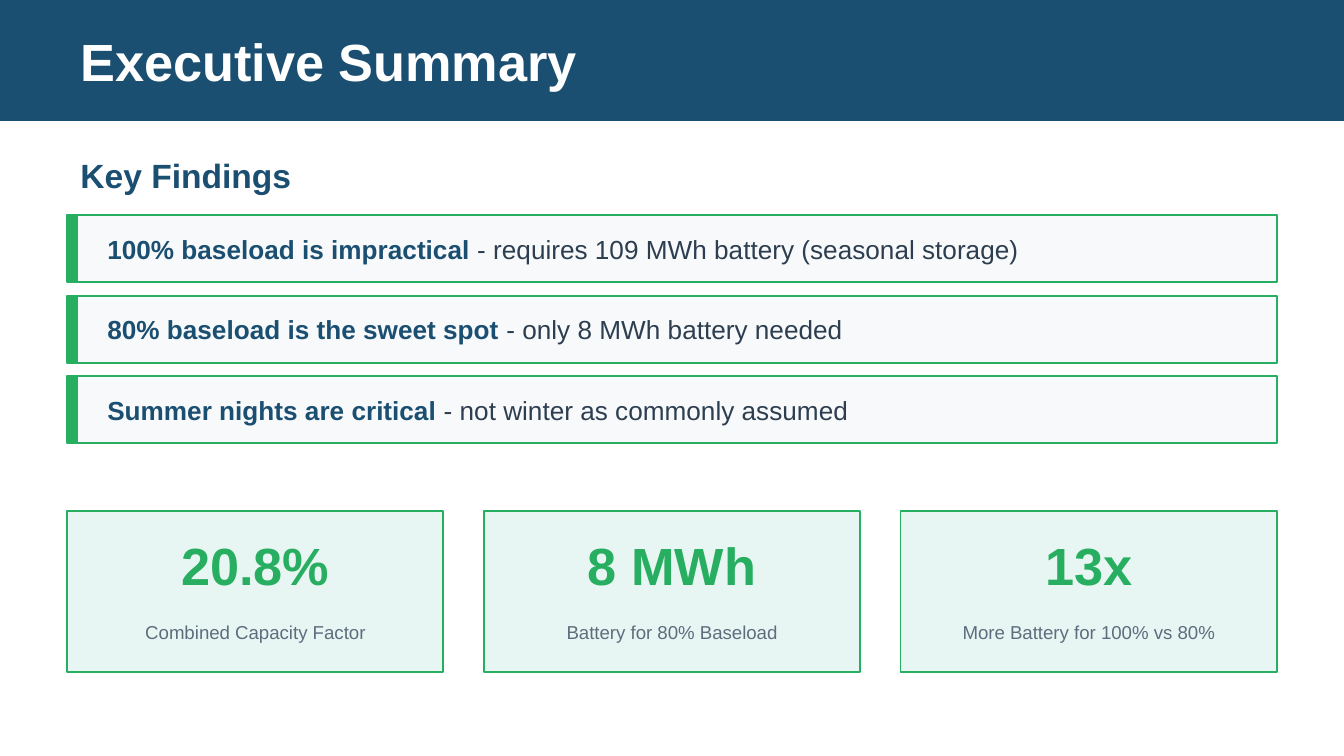
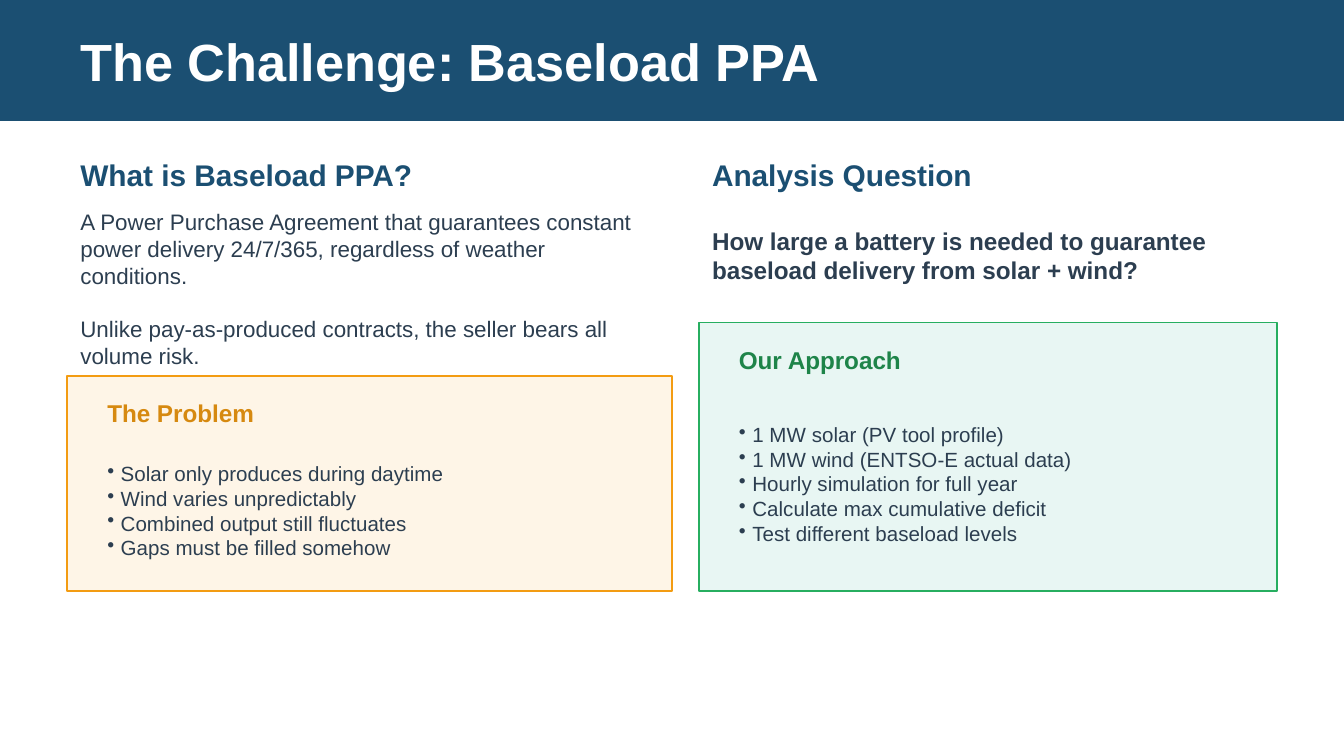
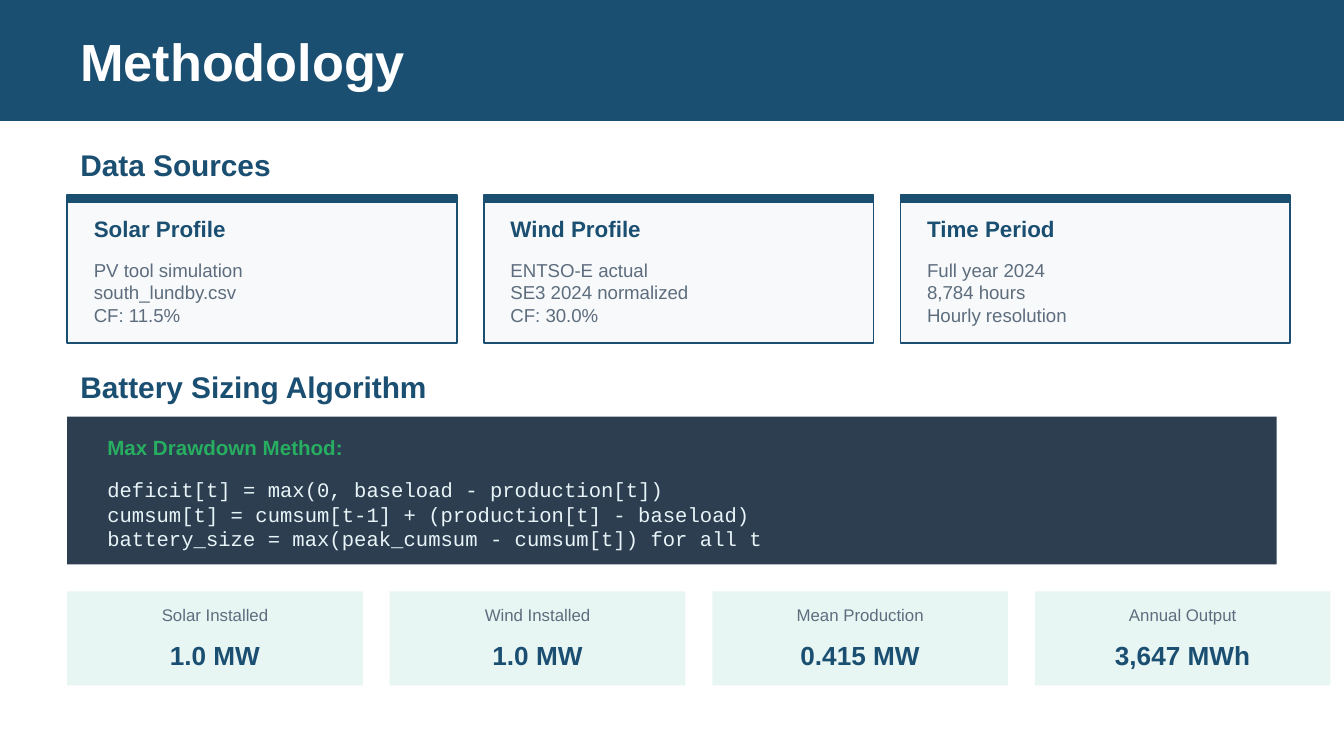
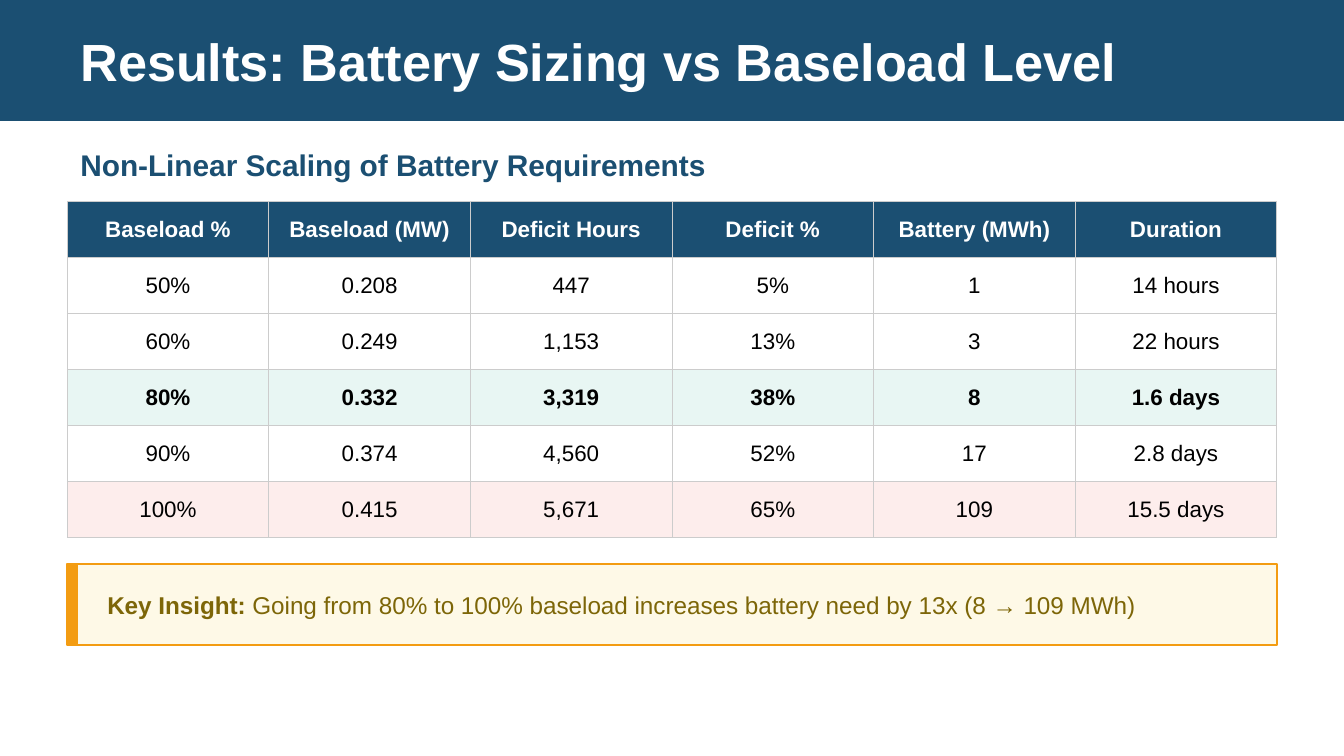
from lxml.etree import SubElement
from pptx import Presentation
from pptx.dml.color import RGBColor
from pptx.enum.shapes import MSO_SHAPE
from pptx.enum.text import MSO_ANCHOR, PP_ALIGN
from pptx.oxml.ns import qn
from pptx.util import Inches, Pt

C = {
    "navy": "1B4F72", "green": "27AE60", "forest": "1E8449", "mint": "E8F6F3",
    "orange": "F39C12", "amber": "D68910", "cream": "FEF5E7", "yellow": "FEF9E7",
    "olive": "7D6608", "ink": "2C3E50", "gray": "5D6D7E", "pale": "F8F9FA",
    "ice": "E8F4F8", "pink": "FDEDEC", "rule": "CCCCCC", "white": "FFFFFF",
    "black": "000000",
}

prs = Presentation()
prs.slide_width = Inches(10)
prs.slide_height = Inches(5.625)
UNIT = prs.slide_width / 100
LEFT, FULL = 5, 90


def box(s, x, y, w, h, fill, line=None):
    sp = s.shapes.add_shape(MSO_SHAPE.RECTANGLE, *[round(v * UNIT) for v in (x, y, w, h)])
    sp.shadow.inherit = False
    sp.fill.solid()
    sp.fill.fore_color.rgb = RGBColor.from_string(C[fill])
    if line:
        sp.line.color.rgb = RGBColor.from_string(C[line])
        sp.line.width = Pt(1)
    else:
        sp.line.fill.background()


def text(s, x, y, w, h, lines, size, color, bold=False, align=PP_ALIGN.LEFT,
         anchor=MSO_ANCHOR.MIDDLE, font="Arial", gap=0, bullet=False):
    tf = s.shapes.add_textbox(*[round(v * UNIT) for v in (x, y, w, h)]).text_frame
    tf.word_wrap = True
    tf.vertical_anchor = anchor
    for i, line in enumerate(lines):
        p = tf.add_paragraph() if i else tf.paragraphs[0]
        p.alignment = align
        if i and gap:
            p.space_before = Pt(gap)
        if bullet:
            pPr = p._p.get_or_add_pPr()
            pPr.set("marL", str(Inches(0.1)))
            pPr.set("indent", str(-Inches(0.1)))
            SubElement(pPr, qn("a:buChar"), char="•")
        for words, tone, heavy in [(line, color, bold)] if isinstance(line, str) else line:
            r = p.add_run()
            r.text = words
            r.font.name = font
            r.font.size = Pt(size)
            r.font.bold = heavy
            r.font.color.rgb = RGBColor.from_string(C[tone])


titles = ["Executive Summary", "The Challenge: Baseload PPA", "Methodology",
          "Results: Battery Sizing vs Baseload Level"]
slides = []
for title in titles:
    s = prs.slides.add_slide(prs.slide_layouts[6])
    box(s, 0, 0, 100, 9, "navy")
    text(s, LEFT, 2, FULL, 5, [title], 28, "white", True)
    slides.append(s)
summary, challenge, methodology, results = slides

headings = [
    (summary, LEFT, 11, FULL, 4, "Key Findings", 18),
    (challenge, LEFT, 11, 45, 4, "What is Baseload PPA?", 16),
    (challenge, 52, 11, 45, 4, "Analysis Question", 16),
    (methodology, LEFT, 10.5, FULL, 3.5, "Data Sources", 16),
    (methodology, LEFT, 27, FULL, 3.5, "Battery Sizing Algorithm", 16),
    (results, LEFT, 10.5, FULL, 3.5, "Non-Linear Scaling of Battery Requirements", 16),
]
for s, x, y, w, h, heading, size in headings:
    text(s, x, y, w, h, [heading], size, "navy", True)

findings = [
    ("100% baseload is impractical", " - requires 109 MWh battery (seasonal storage)"),
    ("80% baseload is the sweet spot", " - only 8 MWh battery needed"),
    ("Summer nights are critical", " - not winter as commonly assumed"),
]
for i, (claim, detail) in enumerate(findings):
    y = 16 + 6 * i
    box(summary, LEFT, y, FULL, 5, "pale", "green")
    box(summary, LEFT, y, 0.8, 5, "green")
    text(summary, 7, y + 1, 87, 3, [[(claim, "navy", True), (detail, "ink", False)]], 14, "ink")

stats = [("20.8%", "Combined Capacity Factor"), ("8 MWh", "Battery for 80% Baseload"),
         ("13x", "More Battery for 100% vs 80%")]
for i, (value, label) in enumerate(stats):
    x = LEFT + 31 * i
    box(summary, x, 38, 28, 12, "mint", "green")
    text(summary, x, 39.5, 28, 5, [value], 28, "green", True, PP_ALIGN.CENTER)
    text(summary, x, 45, 28, 4, [label], 10, "gray", align=PP_ALIGN.CENTER)

text(challenge, LEFT, 15, 45, 12, [
    "A Power Purchase Agreement that guarantees constant power delivery 24/7/365, "
    "regardless of weather conditions.",
    "Unlike pay-as-produced contracts, the seller bears all volume risk.",
], 12, "ink", anchor=MSO_ANCHOR.TOP, gap=14)
text(challenge, 52, 15, 43, 8, [
    "How large a battery is needed to guarantee baseload delivery from solar + wind?",
], 13, "ink", True)

panels = [
    (LEFT, 28, 45, 16, "cream", "orange", "amber", "The Problem", 32.5, 11,
     ["Solar only produces during daytime", "Wind varies unpredictably",
      "Combined output still fluctuates", "Gaps must be filled somehow"]),
    (52, 24, 43, 20, "mint", "green", "forest", "Our Approach", 29, 14,
     ["1 MW solar (PV tool profile)", "1 MW wind (ENTSO-E actual data)",
      "Hourly simulation for full year", "Calculate max cumulative deficit",
      "Test different baseload levels"]),
]
for x, y, w, h, fill, line, tone, heading, list_y, list_h, items in panels:
    box(challenge, x, y, w, h, fill, line)
    text(challenge, x + 2, y + 1, 40, 3.5, [heading], 13, tone, True)
    text(challenge, x + 2, list_y, 40, list_h, items, 11, "ink", bullet=True)

sources = [
    ("Solar Profile", ["PV tool simulation", "south_lundby.csv", "CF: 11.5%"]),
    ("Wind Profile", ["ENTSO-E actual", "SE3 2024 normalized", "CF: 30.0%"]),
    ("Time Period", ["Full year 2024", "8,784 hours", "Hourly resolution"]),
]
for i, (name, facts) in enumerate(sources):
    x = LEFT + 31 * i
    box(methodology, x, 14.5, 29, 11, "pale", "navy")
    box(methodology, x, 14.5, 29, 0.6, "navy")
    text(methodology, x + 1, 15.5, 27, 3, [name], 12, "navy", True)
    text(methodology, x + 1, 18.5, 27, 6.5, facts, 10, "gray")

box(methodology, LEFT, 31, FULL, 11, "ink")
text(methodology, 7, 32, 86, 2.5, ["Max Drawdown Method:"], 11, "green", True)
text(methodology, 7, 35, 86, 6.5, [
    "deficit[t] = max(0, baseload - production[t])",
    "cumsum[t] = cumsum[t-1] + (production[t] - baseload)",
    "battery_size = max(peak_cumsum - cumsum[t]) for all t",
], 11, "ice", font="Courier New")

inputs = [("Solar Installed", "1.0 MW"), ("Wind Installed", "1.0 MW"),
          ("Mean Production", "0.415 MW"), ("Annual Output", "3,647 MWh")]
for i, (label, value) in enumerate(inputs):
    x = LEFT + 24 * i
    box(methodology, x, 44, 22, 7, "mint")
    text(methodology, x, 44.5, 22, 2.5, [label], 9, "gray", align=PP_ALIGN.CENTER)
    text(methodology, x, 47, 22, 3.5, [value], 14, "navy", True, PP_ALIGN.CENTER)

rows = [
    ("Baseload %", "Baseload (MW)", "Deficit Hours", "Deficit %", "Battery (MWh)", "Duration"),
    ("50%", "0.208", "447", "5%", "1", "14 hours"),
    ("60%", "0.249", "1,153", "13%", "3", "22 hours"),
    ("80%", "0.332", "3,319", "38%", "8", "1.6 days"),
    ("90%", "0.374", "4,560", "52%", "17", "2.8 days"),
    ("100%", "0.415", "5,671", "65%", "109", "15.5 days"),
]
row_fills = {0: "navy", 3: "mint", 5: "pink"}
table = results.shapes.add_table(
    len(rows), len(rows[0]),
    *[round(v * UNIT) for v in (LEFT, 15, FULL, 4.17 * len(rows))]).table
table.first_row = False
table.horz_banding = False
for i, row in enumerate(rows):
    table.rows[i].height = round(4.17 * UNIT)
    for j, value in enumerate(row):
        cell = table.cell(i, j)
        cell.vertical_anchor = MSO_ANCHOR.MIDDLE
        p = cell.text_frame.paragraphs[0]
        p.alignment = PP_ALIGN.CENTER
        r = p.add_run()
        r.text = value
        r.font.name = "Arial"
        r.font.size = Pt(12)
        r.font.bold = i in (0, 3)
        r.font.color.rgb = RGBColor.from_string(C["black" if i else "white"])
        tcPr = cell._tc.get_or_add_tcPr()
        for side in ("lnL", "lnR", "lnT", "lnB"):
            ln = SubElement(tcPr, qn("a:" + side), w=str(Pt(0.5)))
            SubElement(SubElement(ln, qn("a:solidFill")), qn("a:srgbClr"), val=C["rule"])
        if i in row_fills:
            cell.fill.solid()
            cell.fill.fore_color.rgb = RGBColor.from_string(C[row_fills[i]])
        else:
            cell.fill.background()

box(results, LEFT, 42, FULL, 6, "yellow", "orange")
box(results, LEFT, 42, 0.8, 6, "orange")
text(results, 7, 43.5, 86, 3, [[
    ("Key Insight: ", "olive", True),
    ("Going from 80% to 100% baseload increases battery need by 13x (8 → 109 MWh)", "olive", False),
]], 13, "olive")

prs.save("out.pptx")
